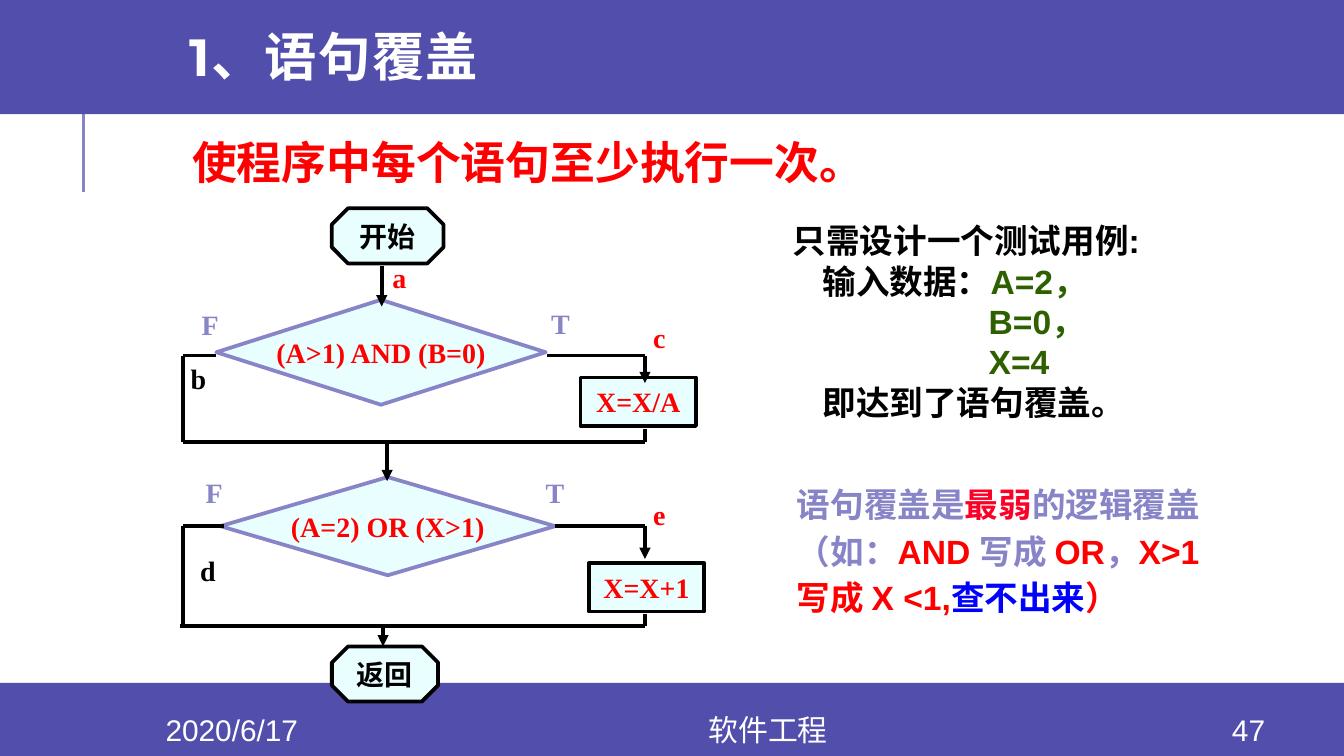
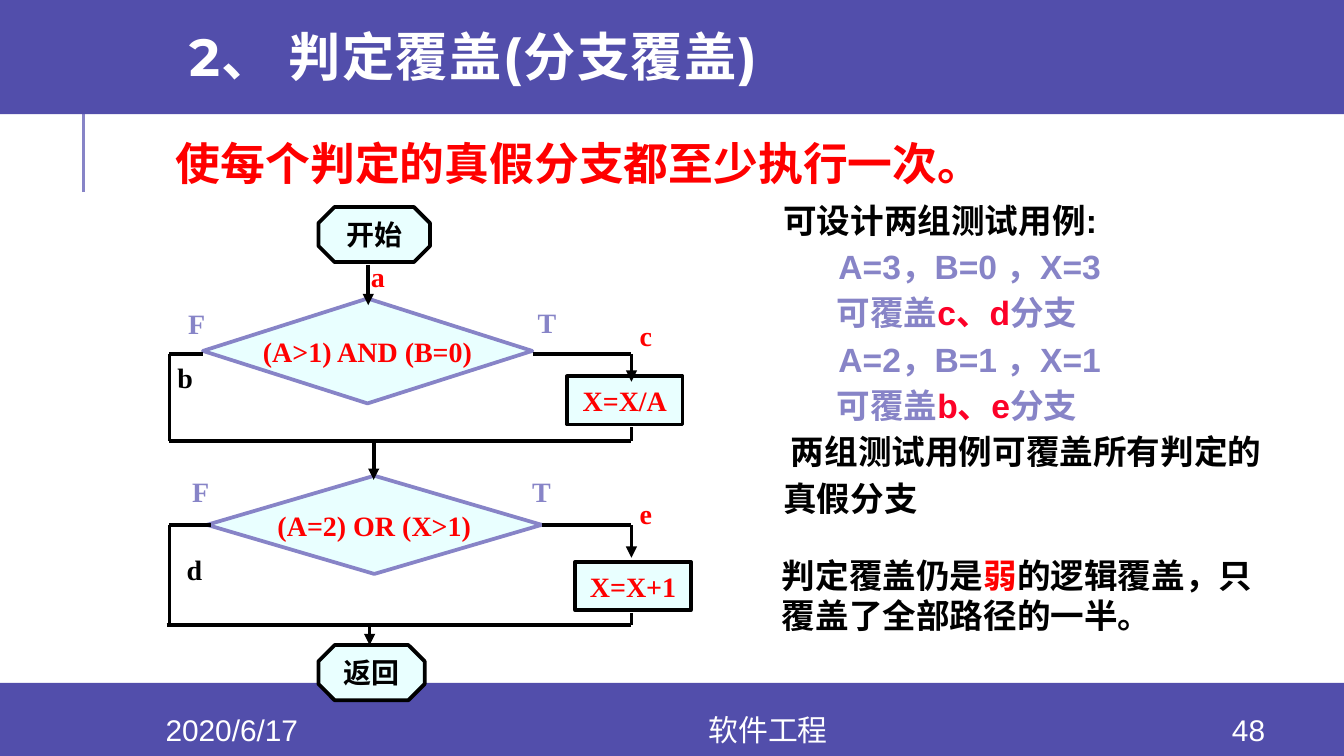
from lxml.etree import SubElement
from pptx import Presentation
from pptx.dml.color import RGBColor
from pptx.enum.shapes import MSO_CONNECTOR, MSO_SHAPE
from pptx.enum.text import MSO_ANCHOR, MSO_AUTO_SIZE, PP_ALIGN
from pptx.oxml.ns import qn
from pptx.util import Pt

PURPLE, LILAC, ICE = "524EAB", "8784C7", "E9FFFF"
BLACK, WHITE, RED, CRIMSON = "000000", "FFFFFF", "FF0000", "FC0128"
GREEN, BLUE = "2E6000", "0000FF"
SANS, SERIF, CHINESE, DISPLAY = "Arial", "Times New Roman", "Noto Sans CJK SC", "Montserrat"

rgb = RGBColor.from_string
CENTERED = {"alignment": PP_ALIGN.CENTER}
MIDDLE = {"vertical_anchor": MSO_ANCHOR.MIDDLE}
TIGHT = {"margin_left": Pt(5), "margin_right": Pt(5), "margin_top": Pt(3), "margin_bottom": Pt(3)}


def write(frame, paragraphs, typeface, size, bold=True, frame_format={}, paragraph_format={}):
    """Fill a frame; each paragraph is (left margin, first-line indent, [(text, colour), ...])."""
    for name, value in {"word_wrap": True, **frame_format}.items():
        setattr(frame, name, value)
    for number, (margin, indent, runs) in enumerate(paragraphs):
        paragraph = frame.add_paragraph() if number else frame.paragraphs[0]
        properties = paragraph._p.get_or_add_pPr()
        properties.set("marL", str(Pt(margin)))
        properties.set("indent", str(Pt(indent)))
        for name, value in paragraph_format.items():
            setattr(paragraph, name, value)
        for text, colour in runs:
            run = paragraph.add_run()
            run.text = text
            for name, value in {"name": typeface, "size": Pt(size), "bold": bold}.items():
                setattr(run.font, name, value)
            run.font.color.rgb = rgb(colour)
            SubElement(run._r.get_or_add_rPr(), qn("a:ea")).set("typeface", CHINESE)


def draw_line(shapes, x1, y1, x2, y2, colour=BLACK, width=2, arrow=False):
    line = shapes.add_connector(MSO_CONNECTOR.STRAIGHT, Pt(x1), Pt(y1), Pt(x2), Pt(y2))
    line.line.color.rgb = rgb(colour)
    line.line.width = Pt(width)
    if arrow:
        SubElement(line.line._get_or_add_ln(), qn("a:tailEnd")).set("type", "triangle")
    SubElement(line._element.spPr, qn("a:effectLst"))


# Flowchart, shared by both slides
FALSE_RAIL, TRUE_RAIL = 98, 345.5
FIRST_TEST, FIRST_JOIN, SECOND_TEST, SECOND_JOIN = 190.5, 237, 282, 335.5

NODES = [
    (MSO_SHAPE.OCTAGON, 177.8, 111.6, 59.8, 29.5, "开始", CHINESE, BLACK, BLACK),
    (MSO_SHAPE.DIAMOND, 115.9, 160.6, 176.4, 56.2, "(A>1) AND (B=0)", SERIF, RED, LILAC),
    (MSO_SHAPE.DIAMOND, 118.1, 255.6, 179.3, 52.6, "(A=2) OR (X>1)", SERIF, RED, LILAC),
    (MSO_SHAPE.OCTAGON, 177.8, 346.3, 56.9, 29.5, "返回", CHINESE, BLACK, BLACK),
    (MSO_SHAPE.RECTANGLE, 311, 202.3, 61.9, 25.9, "X=X/A", SERIF, RED, BLACK),
    (MSO_SHAPE.RECTANGLE, 315.4, 301.7, 61.9, 25.9, "X=X+1", SERIF, RED, BLACK),
]
ARROWS = [
    (204.5, 142.6, 204.5, 164.2),
    (207.4, FIRST_JOIN, 207.4, 257.8),
    (TRUE_RAIL, FIRST_TEST, TRUE_RAIL, 205.2),
    (TRUE_RAIL, SECOND_TEST, TRUE_RAIL, 299.5),
    (205.2, SECOND_JOIN, 205.2, 346.3),
]
LINKS = [
    (115.9, FIRST_TEST, FALSE_RAIL, FIRST_TEST),
    (FALSE_RAIL, FIRST_TEST, FALSE_RAIL, FIRST_JOIN),
    (FALSE_RAIL, FIRST_JOIN, TRUE_RAIL, FIRST_JOIN),
    (TRUE_RAIL, 229.7, TRUE_RAIL, FIRST_JOIN),
    (293, FIRST_TEST, TRUE_RAIL, FIRST_TEST),
    (297.4, SECOND_TEST, TRUE_RAIL, SECOND_TEST),
    (120.2, SECOND_TEST, FALSE_RAIL, SECOND_TEST),
    (FALSE_RAIL, SECOND_TEST, FALSE_RAIL, SECOND_JOIN),
    (FALSE_RAIL - 1.5, SECOND_JOIN, TRUE_RAIL, SECOND_JOIN),
    (TRUE_RAIL, 329, TRUE_RAIL, SECOND_JOIN),
]
BRANCH_LABELS = [
    ("F", 103, 162, 23, LILAC),
    ("F", 105.1, 252, 23, LILAC),
    ("T", 290.2, 161.3, 25.2, LILAC),
    ("T", 287.3, 252, 27.4, LILAC),
    ("b", 97.2, 190.8, 26.6, BLACK),
    ("d", 102.2, 293.8, 23, BLACK),
    ("c", 344.9, 168.5, 15.1, RED),
    ("e", 344.9, 263.5, 15.1, RED),
]

BANDS = [(-2.2, 63.4), (365.8, 39.2)]

# Remarks: left, top, width, height, line spacing, paragraphs
SLIDES = [
    {
        "number": "47",
        "title": "1、语句覆盖",
        "rule": "使程序中每个语句至少执行一次。",
        "rule_box": (97.9, 66.2, 493.9, 73.4),
        "rule_spacing": 1.1,
        "flow_shift": (0, 0),
        "a_left": 205.2,
        "remarks": [
            (417.6, 114.5, 275.8, 116.6, 1.0, [
                (0, 0, [("只需设计一个测试用例:", BLACK)]),
                (16, 0, [("输入数据：", BLACK), ("A=2，", GREEN)]),
                (105, 0, [("B=0，", GREEN)]),
                (105, 0, [("X=4", GREEN)]),
                (16, 0, [("即达到了语句覆盖。", BLACK)]),
            ]),
            (419.8, 252.7, 294.5, 82.8, 1.15, [
                (0, 0, [("语句覆盖是", LILAC), ("最弱", CRIMSON), ("的逻辑覆盖", LILAC)]),
                (0, 0, [("（如：", LILAC), ("AND ", RED), ("写成 ", LILAC), ("OR", RED),
                        ("，", LILAC), ("X>1", RED)]),
                (0, 0, [("写成 X <1,", RED), ("查不出来", BLUE), ("）", RED)]),
            ]),
        ],
    },
    {
        "number": "48",
        "title": "2、 判定覆盖(分支覆盖)",
        "rule": "使每个判定的真假分支都至少执行一次。",
        "rule_box": (89.3, 65.5, 494.6, 59),
        "rule_spacing": 1.15,
        "flow_shift": (-7.2, -0.7),
        "a_left": 200.9,
        "remarks": [
            (412.6, 100.1, 285.1, 182.9, 1.15, [
                (0, 0, [("可设计两组测试用例:", BLACK)]),
                (29.5, 0, [("A=3，B=0 ，X=3", LILAC)]),
                (28.5, 0, [("可覆盖", LILAC), ("c、d", CRIMSON), ("分支", LILAC)]),
                (29.5, 0, [("A=2，B=1 ，X=1", LILAC)]),
                (28.5, 0, [("可覆盖", LILAC), ("b、e", CRIMSON), ("分支", LILAC)]),
                (0, 4, [("两组测试用例可覆盖所有判定的真假分支", BLACK)]),
            ]),
            (411.8, 293.8, 280.8, 51.1, 1.0, [
                (0, 0, [("判定覆盖仍是", BLACK), ("弱", RED),
                        ("的逻辑覆盖，只覆盖了全部路径的一半。", BLACK)]),
            ]),
        ],
    },
]

deck = Presentation()
deck.slide_width, deck.slide_height = Pt(720), Pt(405)

for content in SLIDES:
    slide = deck.slides.add_slide(deck.slide_layouts[5])
    shapes = slide.shapes

    # Margin line and bands, with the title brought in front of them
    draw_line(shapes, 44.6, 103, 44.6, 49, LILAC, 1.5)
    for top, height in BANDS:
        band = shapes.add_shape(MSO_SHAPE.RECTANGLE, 0, Pt(top), deck.slide_width, Pt(height))
        band.shadow.inherit = False
        band.fill.solid()
        band.fill.fore_color.rgb = rgb(PURPLE)
        band.line.fill.background()

    title = shapes.title
    shapes.element.append(title.element)
    title.left, title.top, title.width, title.height = Pt(86.4), Pt(0), Pt(611.3), Pt(65.5)
    write(title.text_frame, [(0, 0, [(content["title"], WHITE)])], DISPLAY, 28,
          frame_format={**MIDDLE, "auto_size": MSO_AUTO_SIZE.NONE, "margin_left": Pt(15)},
          paragraph_format={"alignment": PP_ALIGN.LEFT, "line_spacing": 0.8})
    title.text_frame.paragraphs[0].runs[0]._r.get_or_add_rPr().set("spc", "80")

    footers = [(60.5, 127.4, "2020/6/17"), (187.9, 447.1, "软件工程"), (640.1, 57.6, content["number"])]
    for left, width, text in footers:
        footer = shapes.add_textbox(Pt(left), Pt(382.3), Pt(width), Pt(16.6))
        write(footer.text_frame, [(0, 0, [(text, WHITE)])], SANS, 16, False, MIDDLE, CENTERED)

    rule = shapes.add_textbox(*map(Pt, content["rule_box"]))
    write(rule.text_frame, [(0, 0, [(content["rule"], RED)])], SANS, 24,
          frame_format=TIGHT, paragraph_format={"line_spacing": content["rule_spacing"]})

    # Flowchart
    flow = shapes.add_group_shape()
    for kind, left, top, width, height, text, typeface, colour, outline in NODES:
        node = flow.shapes.add_shape(kind, Pt(left), Pt(top), Pt(width), Pt(height))
        if kind == MSO_SHAPE.OCTAGON:
            node.adjustments[0] = 0.293
        node.shadow.inherit = False
        node.fill.solid()
        node.fill.fore_color.rgb = rgb(ICE)
        node.line.color.rgb = rgb(outline)
        node.line.width = Pt(2)
        write(node.text_frame, [(0, 0, [(text, colour)])], typeface, 15,
              frame_format={**MIDDLE, "word_wrap": False}, paragraph_format=CENTERED)
    for ends in ARROWS:
        draw_line(flow.shapes, *ends, arrow=True)
    for ends in LINKS:
        draw_line(flow.shapes, *ends)
    for text, left, top, width, colour in BRANCH_LABELS + [("a", content["a_left"], 136.8, 24.5, RED)]:
        label = flow.shapes.add_textbox(Pt(left), Pt(top), Pt(width), Pt(23.8))
        write(label.text_frame, [(0, 0, [(text, colour)])], SERIF, 15, frame_format=TIGHT)
    shift_x, shift_y = content["flow_shift"]
    flow.left += Pt(shift_x)
    flow.top += Pt(shift_y)

    for left, top, width, height, spacing, paragraphs in content["remarks"]:
        remark = shapes.add_textbox(Pt(left), Pt(top), Pt(width), Pt(height))
        write(remark.text_frame, paragraphs, SANS, 18, paragraph_format={"line_spacing": spacing})

deck.save("out.pptx")
